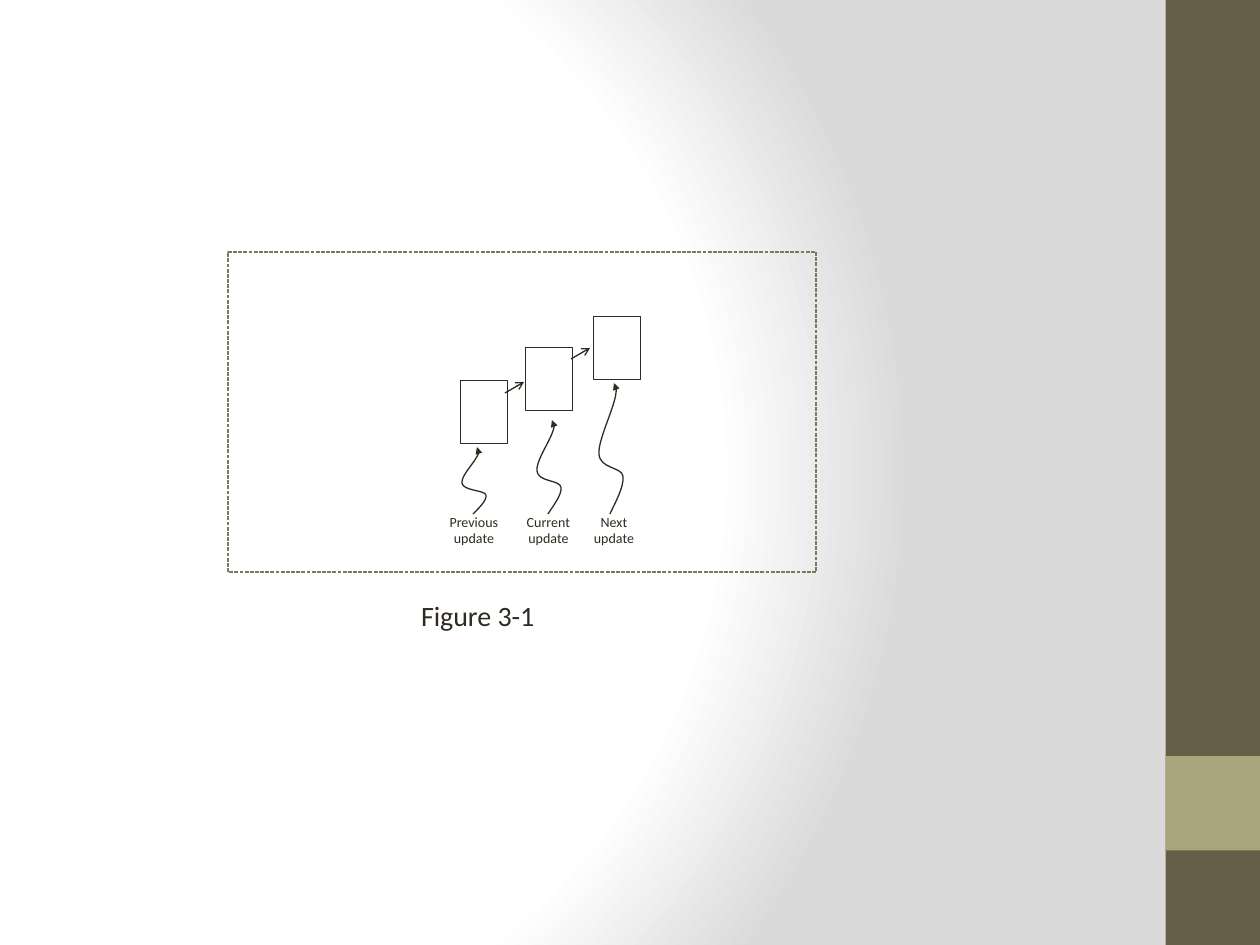
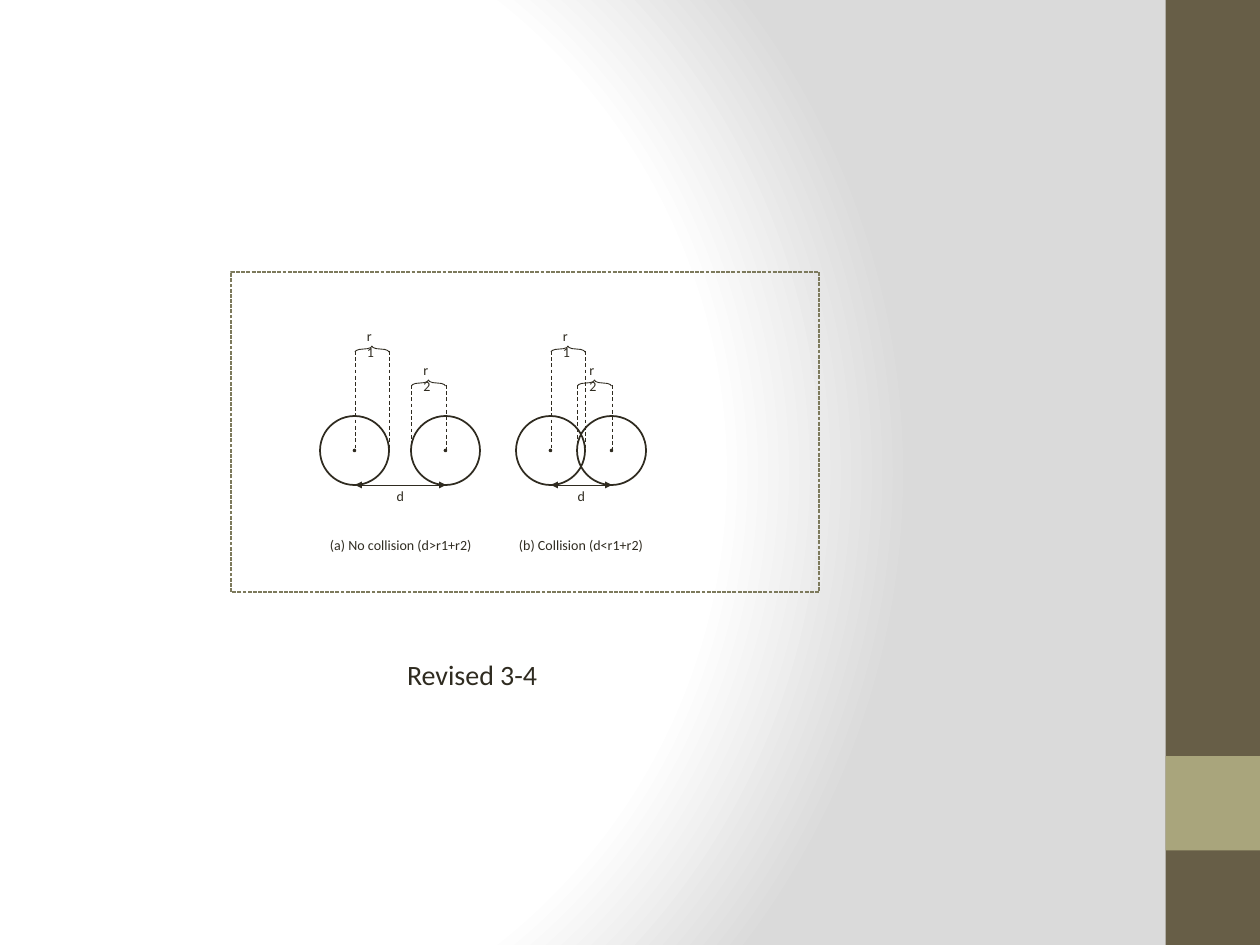
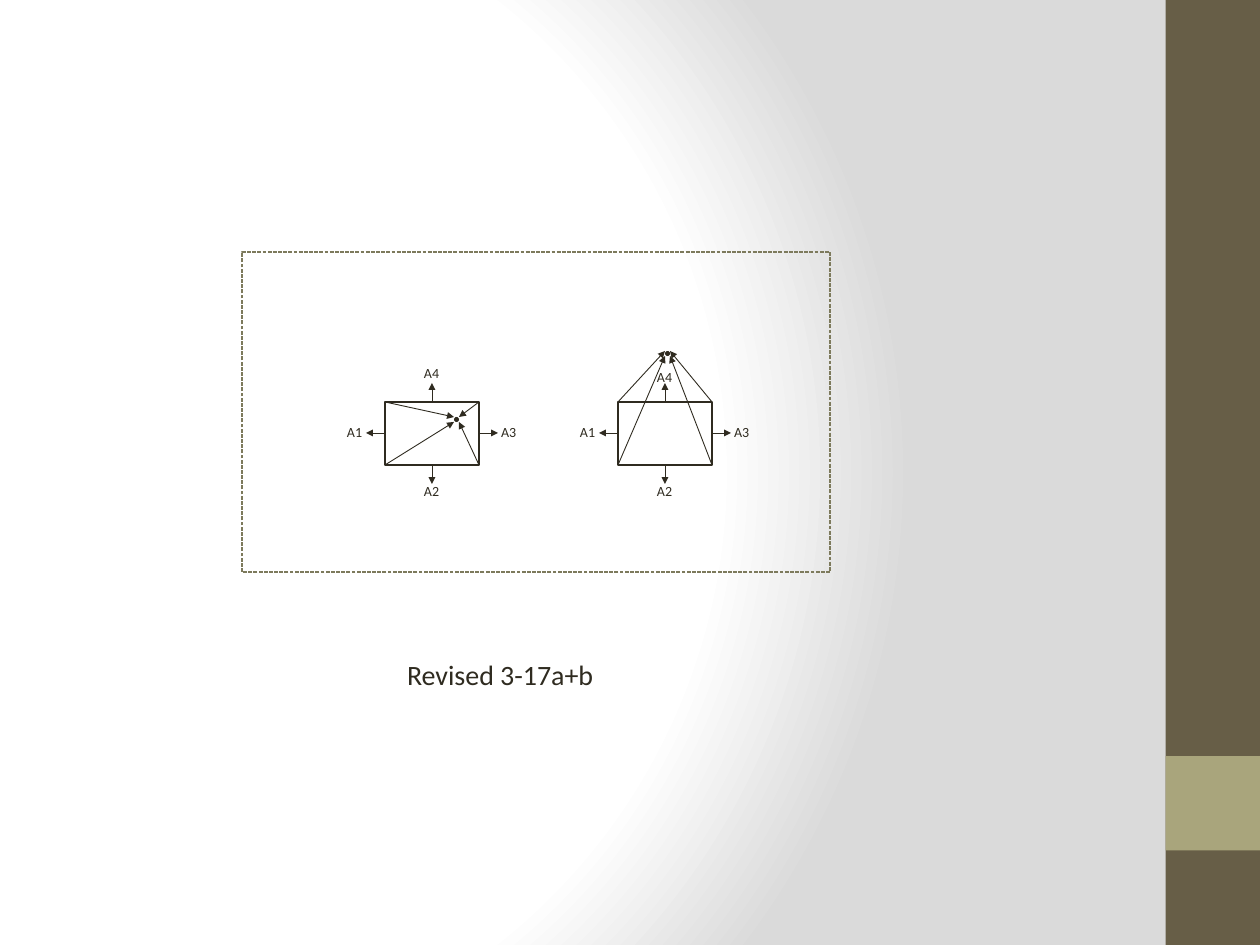
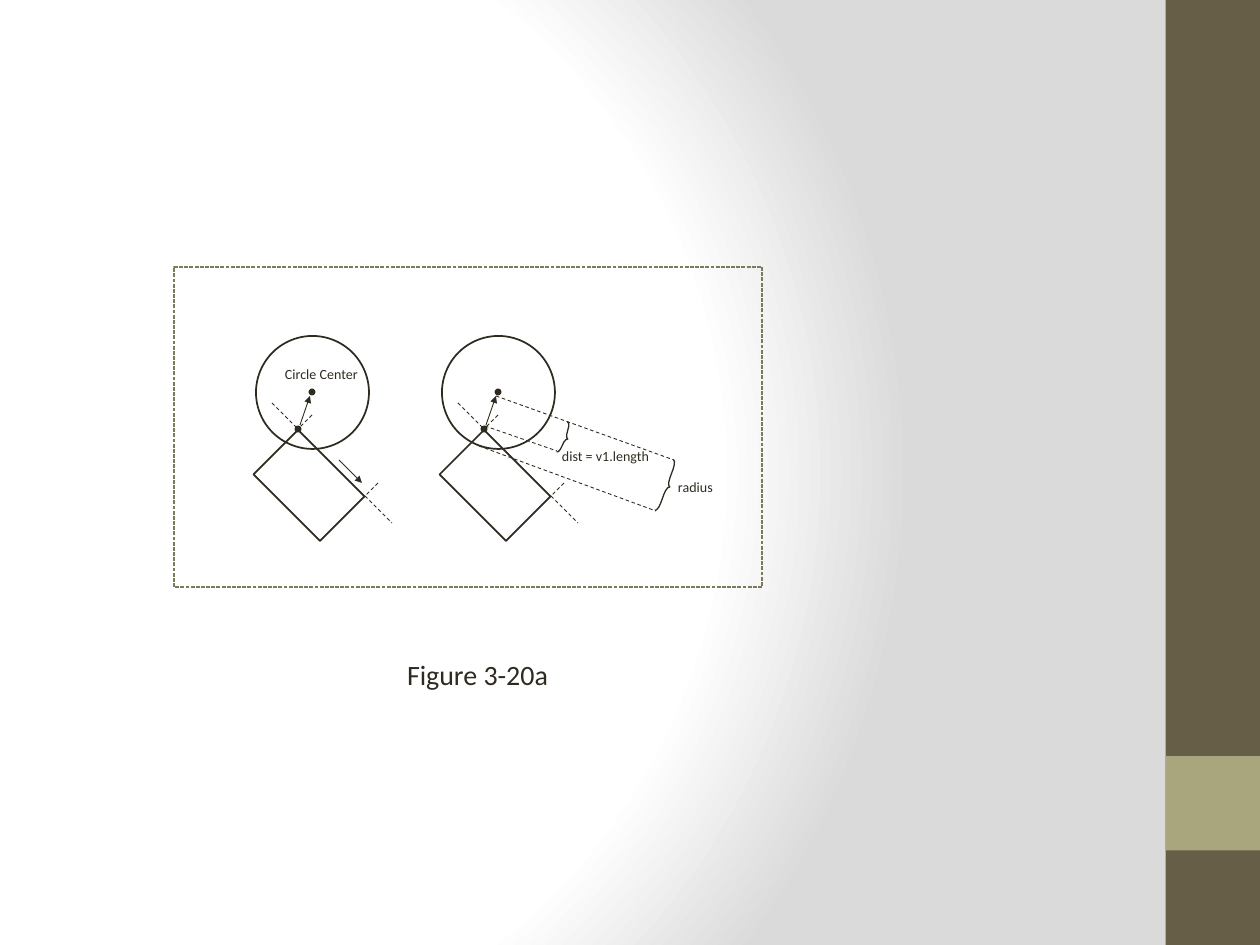
"""Builds four slides of geometry figures for a text on game physics."""
from lxml.etree import SubElement
from pptx import Presentation
from pptx.dml.color import RGBColor as Rgb
from pptx.enum.dml import MSO_LINE as Dash
from pptx.enum.shapes import MSO_CONNECTOR as Link, MSO_SHAPE as Kind
from pptx.enum.text import MSO_ANCHOR as Anchor, MSO_AUTO_SIZE as Fit, PP_ALIGN as Align
from pptx.oxml import parse_xml
from pptx.oxml.ns import nsdecls, qn
from pptx.util import Emu, Inches, Pt

SCALE = 914400 / 126
FONT = "Calibri"
COLORS = {
    "ink": "2F2B20",
    "frame": "7D7A5C",
    "band": "675E47",
    "accent": "A9A57C",
    "white": "FFFFFF",
    "edge": "DADADA",
}
WAVE = [(15, 0), (25, 0.06), (-1, 0.42), (0, 0.54), (1, 0.66),
        (23, 0.64), (24, 0.71), (26, 0.79), (14, 0.95), (11, 1)]


def px(*nums):
    return [Emu(round(n * SCALE)) for n in nums]


def color(name):
    return Rgb.from_string(COLORS[name])


def stroke(shape, name, width, dash=None, head=None, tail=None):
    line = shape.line
    line.color.rgb = color(name)
    line.width = Pt(width)
    if dash:
        line.dash_style = dash
    node = shape._element.spPr.find(qn("a:ln"))
    for tag, tip in (("a:headEnd", head), ("a:tailEnd", tail)):
        if tip:
            SubElement(node, qn(tag), type=tip, w="sm", len="sm")


def add_form(slide, kind, box, fill=None, line="ink", width=1, dash=None, turn=0, adj=()):
    shape = slide.shapes.add_shape(kind, *px(*box))
    shape.shadow.inherit = False
    shape.rotation = turn
    for i, val in enumerate(adj):
        shape.adjustments[i] = val
    if fill:
        shape.fill.solid()
        shape.fill.fore_color.rgb = color(fill)
    else:
        shape.fill.background()
    if line:
        stroke(shape, line, width, dash)
    else:
        shape.line.fill.background()
    return shape


def add_line(slide, start, end, width=0.5, dash=None, head=None, tail=None):
    line = slide.shapes.add_connector(Link.STRAIGHT, *px(*start, *end))
    stroke(line, "ink", width, dash, head, tail)
    SubElement(line._element.spPr, qn("a:effectLst"))


def add_dash(slide, start, end):
    add_line(slide, start, end, dash=Dash.DASH)


def add_arrow(slide, start, end):
    add_line(slide, start, end, tail="triangle")


def add_brace(slide, mid, length, turn, width=0.5):
    x, y = mid
    box = (x - 3, y - length / 2, 6, length)
    add_form(slide, Kind.RIGHT_BRACE, box, width=width, turn=turn, adj=(1.471, 0.5))


def add_wave(slide, left, top, base):
    """Draws a curved pointer that rises from base to top."""
    pts = [(left + x, top + y * (base - top)) for x, y in WAVE]
    pen = slide.shapes.build_freeform(*pts[0], scale=SCALE)
    pen.add_line_segments(pts[1:], close=False)
    shape = pen.convert_to_shape()
    shape.shadow.inherit = False
    shape.fill.background()
    stroke(shape, "ink", 0.75, head="triangle")
    trail = shape._element.find(".//" + qn("a:path"))
    steps = trail.findall(qn("a:lnTo"))
    for i in range(0, len(steps), 3):
        curve = SubElement(trail, qn("a:cubicBezTo"))
        for step in steps[i:i + 3]:
            curve.append(step[0])
            trail.remove(step)


def set_text(shape, text, size, align, wrap):
    frame = shape.text_frame
    frame.text = text
    frame.word_wrap = wrap
    frame.auto_size = Fit.SHAPE_TO_FIT_TEXT
    frame.vertical_anchor = Anchor.TOP
    frame.margin_left = frame.margin_right = 0
    frame.margin_top = frame.margin_bottom = Inches(0.05)
    for para in frame.paragraphs:
        para.alignment = align
        for run in para.runs:
            run.font.size = Pt(size)
            run.font.name = FONT
            run.font.color.rgb = color("ink")


def add_label(slide, text, x, y, width, height=30, align=Align.LEFT, wrap=False):
    box = slide.shapes.add_textbox(*px(x, y, width, height))
    set_text(box, text, 8, align, wrap)


def add_page(deck, title, spot, frame):
    """Adds a slide with its caption and the dashed figure frame."""
    slide = deck.slides.add_slide(deck.slide_layouts[5])
    name = slide.shapes.title
    name.left, name.top, name.width, name.height = px(*spot, 292, 47)
    set_text(name, title, 16, Align.LEFT, True)
    add_form(slide, Kind.RECTANGLE, (*frame, 588, 320), line="frame",
             width=0.75, dash=Dash.SQUARE_DOT)
    return slide


def set_master(deck, slide):
    """Gives the master its gradient and the side bands."""
    root = deck.slide_master.element.cSld
    old = root.find(qn("p:bg"))
    if old is not None:
        root.remove(old)
    stops = "".join(
        f'<a:gs pos="{pos}000"><a:srgbClr val="{COLORS[name]}"/></a:gs>'
        for pos, name in ((0, "white"), (75, "white"), (100, "edge")))
    root.insert(0, parse_xml(
        f'<p:bg {nsdecls("p", "a")}><p:bgPr><a:gradFill rotWithShape="1">'
        f'<a:gsLst>{stops}</a:gsLst><a:path path="circle">'
        '<a:fillToRect l="20000" t="50000" r="100000" b="50000"/></a:path>'
        '</a:gradFill><a:effectLst/></p:bgPr></p:bg>'))
    for box, fill in (((1165.5, 0, 94.5, 945), "band"), ((1165.5, 756, 94.5, 94.5), "accent")):
        band = add_form(slide, Kind.RECTANGLE, box, fill, line=None)
        root.spTree.append(band._element)


def draw_steps(deck):
    slide = add_page(deck, "Figure 3-1", (421, 592), (228, 252))
    for start, end in (((505, 393), (524, 382)), ((571, 359), (590, 348))):
        add_line(slide, start, end, 0.75, tail="arrow")
    for word, box, wave, text in (
            ("Previous", (460, 380), (462, 447), (448, 52)),
            ("Current", (525, 347), (537, 420), (526, 45)),
            ("Next", (593, 316), (599, 383), (592, 44))):
        add_form(slide, Kind.RECTANGLE, (*box, 47, 63), width=0.25)
        add_wave(slide, *wave, 514)
        x, width = text
        add_label(slide, word + "\nupdate", x, 507, width, 47, Align.CENTER, True)
    return slide


def draw_pair(slide, left, right, fill, text, x, width):
    """Draws two circles with their radii and the distance between them."""
    for edge, paint in ((left, "white"), (right, fill)):
        add_form(slide, Kind.DONUT, (edge, 416, 69, 69), paint, adj=(0.487,))
    start, end = left + 35, right + 35
    for name, near, far, top in (("r1", start, left + 69, 351), ("r2", right, end, 385)):
        mid = (near + far) / 2
        for edge in (near, far):
            add_dash(slide, (edge, top), (edge, 450))
        add_brace(slide, (mid, top - 2), 34, 270)
        add_label(slide, name, mid - 5, top - 30, 11)
    add_line(slide, (end, 485), (start, 485), head="triangle", tail="triangle")
    add_label(slide, "d", (start + end) / 2 - 4, 481, 8)
    add_label(slide, text, x, 530, width)


def draw_hits(deck):
    slide = add_page(deck, "Revised 3-4", (407, 651), (231, 272))
    draw_pair(slide, 320, 411, "white", "(a) No collision (d>r1+r2)", 330, 142)
    draw_pair(slide, 516, 577, None, "(b) Collision (d<r1+r2)", 519, 125)


def draw_box(slide, left, dot, high):
    """Draws a box with four normals and arrows from its corners to a dot."""
    top, right, base = 402, left + 94, 465
    mid, half = left + 47, 433
    add_form(slide, Kind.RECTANGLE, (left, top, 94, 63))
    for name, start, move, spot in (
            ("A1", (left, half), (-19, 0), (left - 38, 417)),
            ("A2", (mid, base), (0, 19), (mid - 8, 476)),
            ("A3", (right, half), (19, 0), (right + 22, 417)),
            ("A4", (mid, top), (0, -19), (mid - 8, high))):
        add_arrow(slide, start, (start[0] + move[0], start[1] + move[1]))
        add_label(slide, name, *spot, 16)
    x, y = dot
    add_form(slide, Kind.OVAL, (x, y, 5, 5), "ink", line=None)
    for cx, tx in ((left, x), (right, x + 5)):
        for cy, ty in ((top, y), (base, y + 5)):
            add_arrow(slide, (cx, cy), (tx, ty))


def draw_sides(deck):
    slide = add_page(deck, "Revised 3-17a+b", (407, 651), (242, 252))
    draw_box(slide, 385, (454, 417), 358)
    draw_box(slide, 618, (665, 351), 362)


def draw_corner(slide, dx):
    """Draws a circle that meets the corner of a tilted box."""
    add_form(slide, Kind.RECTANGLE, (262 + dx, 454, 94, 63), turn=45)
    add_form(slide, Kind.OVAL, (256 + dx, 336, 113, 113))
    for x, y, turn in ((295, 426, 45), (309, 389, 0)):
        add_form(slide, Kind.FLOWCHART_OR, (x + dx, y, 6, 6), "ink", width=0.5, turn=turn)
    for x, y, run, rise in ((365, 496, 27, 27), (272, 403, 27, 27),
                            (378, 483, -13, 13), (312, 415, -13, 13)):
        add_dash(slide, (x + dx, y), (x + dx + run, y + rise))
    add_arrow(slide, (300 + dx, 425), (310 + dx, 396))


def draw_reach(deck):
    slide = add_page(deck, "Figure 3-20a", (407, 651), (174, 267))
    for dx in (0, 186):
        draw_corner(slide, dx)
    add_arrow(slide, (339, 460), (362, 483))
    for start, end in (((496, 396), (674, 460)), ((485, 426), (557, 451)),
                       ((479, 446), (656, 511))):
        add_dash(slide, start, end)
    add_brace(slide, (667, 486), 54, 20, 0.75)
    add_brace(slide, (565, 438), 32, 20, 0.75)
    for text, x, y, width in (("Circle Center", 285, 359, 74),
                              ("dist = v1.length", 562, 441, 88),
                              ("radius", 678, 472, 35)):
        add_label(slide, text, x, y, width)


def main():
    deck = Presentation()
    deck.slide_width, deck.slide_height = Inches(10), Inches(7.5)
    first = draw_steps(deck)
    set_master(deck, first)
    draw_hits(deck)
    draw_sides(deck)
    draw_reach(deck)
    deck.save("out.pptx")


main()
